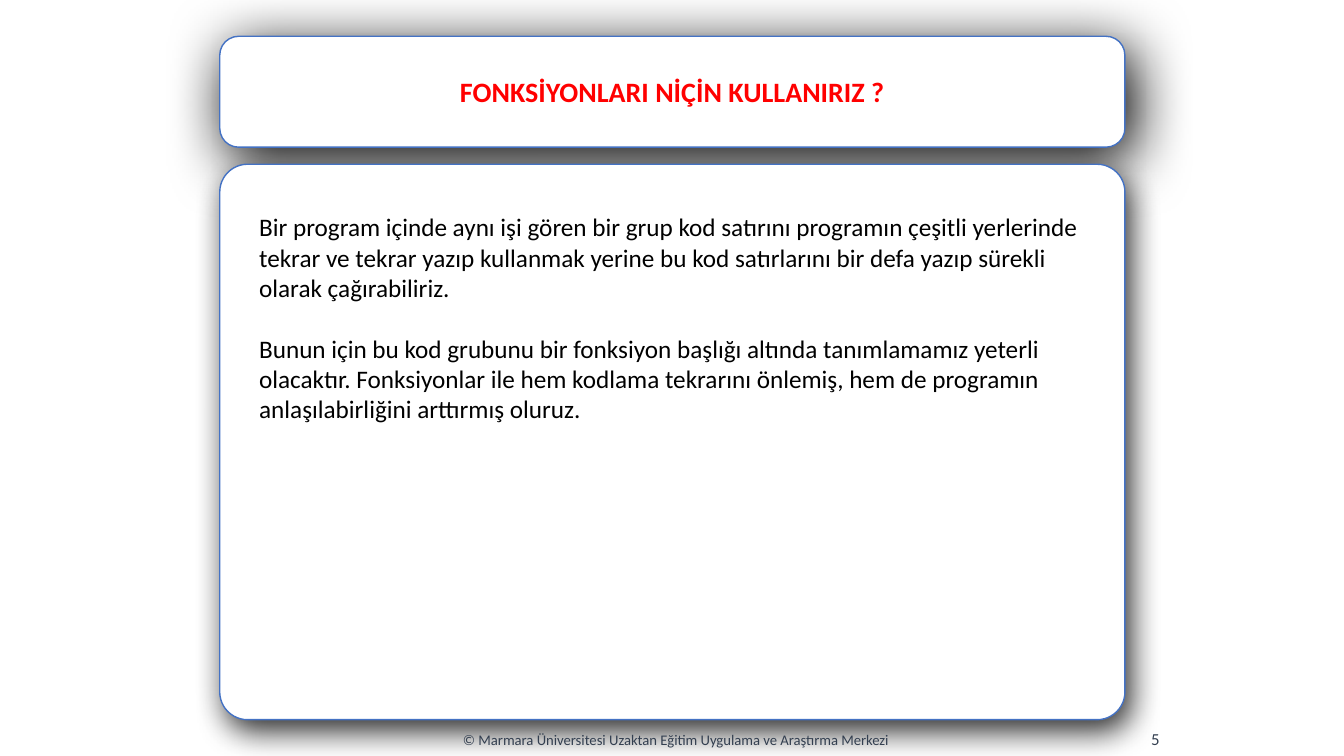
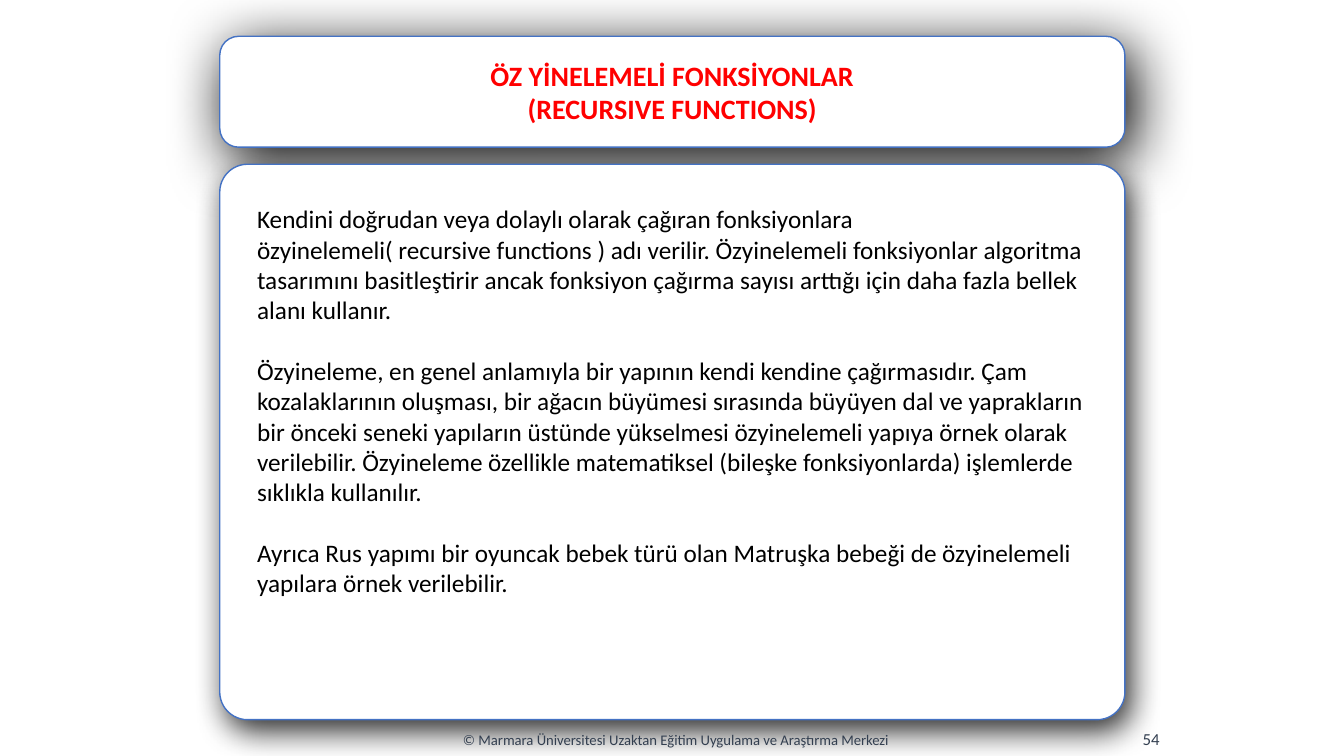
"""Build two lecture slides about functions."""
from dataclasses import dataclass

from lxml.etree import SubElement
from pptx import Presentation
from pptx.dml.color import RGBColor
from pptx.enum.shapes import MSO_SHAPE as Shape
from pptx.enum.text import MSO_ANCHOR as Anchor, MSO_AUTO_SIZE as Fit, PP_ALIGN as Align
from pptx.oxml.ns import qn
from pptx.util import Inches, Pt

WIDTH, HEIGHT = Inches(13.33), Inches(7.5)
WHITE = RGBColor(0xFF, 0xFF, 0xFF)
BLACK = RGBColor(0x00, 0x00, 0x00)
RED = RGBColor(0xFF, 0x00, 0x00)
BLUE = RGBColor(0x44, 0x72, 0xC4)
SLATE = RGBColor(0x33, 0x3F, 0x50)
FOOTER = "© Marmara Üniversitesi Uzaktan Eğitim Uygulama ve Araştırma Merkezi"


@dataclass(frozen=True)
class Area:
    """Left, top, width and height in percent of the slide."""
    x: float
    y: float
    w: float
    h: float

    def box(self) -> dict[str, int]:
        """Return the position attributes of a shape."""
        return {"left": int(WIDTH * self.x / 100), "top": int(HEIGHT * self.y / 100),
                "width": int(WIDTH * self.w / 100), "height": int(HEIGHT * self.h / 100)}


@dataclass(frozen=True)
class Card:
    """A rounded panel with an outer shadow."""
    area: Area
    corner: float
    alpha: int
    blur: int
    angle: int


@dataclass(frozen=True)
class Style:
    """Format of all paragraphs in a box."""
    size: float
    color: RGBColor
    align: Align = Align.LEFT
    anchor: Anchor = Anchor.MIDDLE
    bold: bool = False
    gap: float = 0


@dataclass(frozen=True)
class Page:
    """Content of one slide."""
    number: int
    title: tuple[str, ...]
    area: Area
    body: tuple[str, ...]


TITLE_CARD = Card(Area(16.35, 4.8, 67.35, 14.67), 0.17, 99, 43, 60)
BODY_CARD = Card(Area(16.35, 21.73, 67.35, 73.47), 0.05, 81, 23, 64)
FOOTER_AREA = Area(28.13, 95.47, 44.34, 4.8)
NUMBER_AREA = Area(69.54, 95.33, 17.48, 4.8)

TITLE_STYLE = Style(20, RED, Align.CENTER, bold=True)
BODY_STYLE = Style(18, BLACK, anchor=Anchor.TOP, gap=22)
FOOTER_STYLE = Style(10.5, SLATE, Align.CENTER)
NUMBER_STYLE = Style(12, SLATE, Align.RIGHT)

PAGES = (
    Page(5, ("FONKSİYONLARI NİÇİN KULLANIRIZ ?",), Area(18.53, 27.33, 63.24, 29.6), (
        "Bir program içinde aynı işi gören bir grup kod satırını programın çeşitli "
        "yerlerinde tekrar ve tekrar yazıp kullanmak yerine bu kod satırlarını bir defa "
        "yazıp sürekli olarak çağırabiliriz.",
        "Bunun için bu kod grubunu bir fonksiyon başlığı altında tanımlamamız yeterli "
        "olacaktır. Fonksiyonlar ile hem kodlama tekrarını önlemiş, hem de programın "
        "anlaşılabirliğini arttırmış oluruz.")),
    Page(54, ("ÖZ YİNELEMELİ FONKSİYONLAR", "(RECURSIVE FUNCTIONS)"),
         Area(18.38, 26.27, 63.17, 53.87), (
        "Kendini doğrudan veya dolaylı olarak çağıran fonksiyonlara\n"
        "özyinelemeli( recursive functions ) adı verilir. Özyinelemeli fonksiyonlar "
        "algoritma tasarımını basitleştirir ancak fonksiyon çağırma sayısı arttığı için "
        "daha fazla bellek alanı kullanır.",
        "Özyineleme, en genel anlamıyla bir yapının kendi kendine çağırmasıdır. Çam "
        "kozalaklarının oluşması, bir ağacın büyümesi sırasında büyüyen dal ve "
        "yaprakların bir önceki seneki yapıların üstünde yükselmesi özyinelemeli yapıya "
        "örnek olarak verilebilir. Özyineleme özellikle matematiksel (bileşke "
        "fonksiyonlarda) işlemlerde sıklıkla kullanılır.",
        "Ayrıca Rus yapımı bir oyuncak bebek türü olan Matruşka bebeği de özyinelemeli "
        "yapılara örnek verilebilir.")),
)


def apply(target, values: dict) -> None:
    """Set attributes from a dict of format values."""
    for name, value in values.items():
        setattr(target, name, value)


def add_card(s, card: Card):
    """Draw a white panel with its shadow."""
    sp = s.shapes.add_shape(Shape.ROUNDED_RECTANGLE, **card.area.box())
    sp.adjustments[0] = card.corner
    sp.fill.solid()
    sp.fill.fore_color.rgb = WHITE
    sp.line.color.rgb = BLUE
    sp.line.width = Pt(1)
    sp.shadow.inherit = False
    effects = sp._element.spPr.find(qn("a:effectLst"))
    shadow = SubElement(effects, qn("a:outerShdw"), blurRad=str(Pt(card.blur)),
                        dist=str(Pt(9)), dir=str(card.angle * 60000),
                        algn="ctr", rotWithShape="0")
    color = SubElement(shadow, qn("a:srgbClr"), val=str(BLACK))
    SubElement(color, qn("a:alpha"), val=str(card.alpha * 1000))
    return sp


def write(sp, lines: tuple[str, ...], style: Style) -> None:
    """Fill a shape with unbulleted paragraphs in one style."""
    tf = sp.text_frame
    apply(tf, {"word_wrap": True, "auto_size": Fit.NONE, "vertical_anchor": style.anchor})
    for i, line in enumerate(lines):
        p = tf.add_paragraph() if i else tf.paragraphs[0]
        p.text = line
        apply(p, {"alignment": style.align, "space_after": Pt(0),
                  "space_before": Pt(style.gap if i else 0)})
        props = p._p.get_or_add_pPr()
        props.set("marL", "0")
        props.set("indent", "0")
        SubElement(props, qn("a:buNone"))
        for r in p.runs:
            apply(r.font, {"name": "Calibri", "size": Pt(style.size), "bold": style.bold})
            r.font.color.rgb = style.color


def add_page(prs, page: Page) -> None:
    """Add one slide with its cards, texts and footer."""
    s = prs.slides.add_slide(prs.slide_layouts[1])
    title, body = s.shapes.title, s.placeholders[1]
    for card in (TITLE_CARD, BODY_CARD):
        title._element.addprevious(add_card(s, card)._element)
    apply(title, TITLE_CARD.area.box())
    apply(body, page.area.box())
    write(title, page.title, TITLE_STYLE)
    write(body, page.body, BODY_STYLE)
    for area, text, style in ((FOOTER_AREA, FOOTER, FOOTER_STYLE),
                              (NUMBER_AREA, str(page.number), NUMBER_STYLE)):
        write(s.shapes.add_textbox(**area.box()), (text,), style)


def main() -> None:
    """Build and save the presentation."""
    prs = Presentation()
    apply(prs, {"slide_width": WIDTH, "slide_height": HEIGHT})
    for page in PAGES:
        add_page(prs, page)
    prs.save("out.pptx")


if __name__ == "__main__":
    main()
